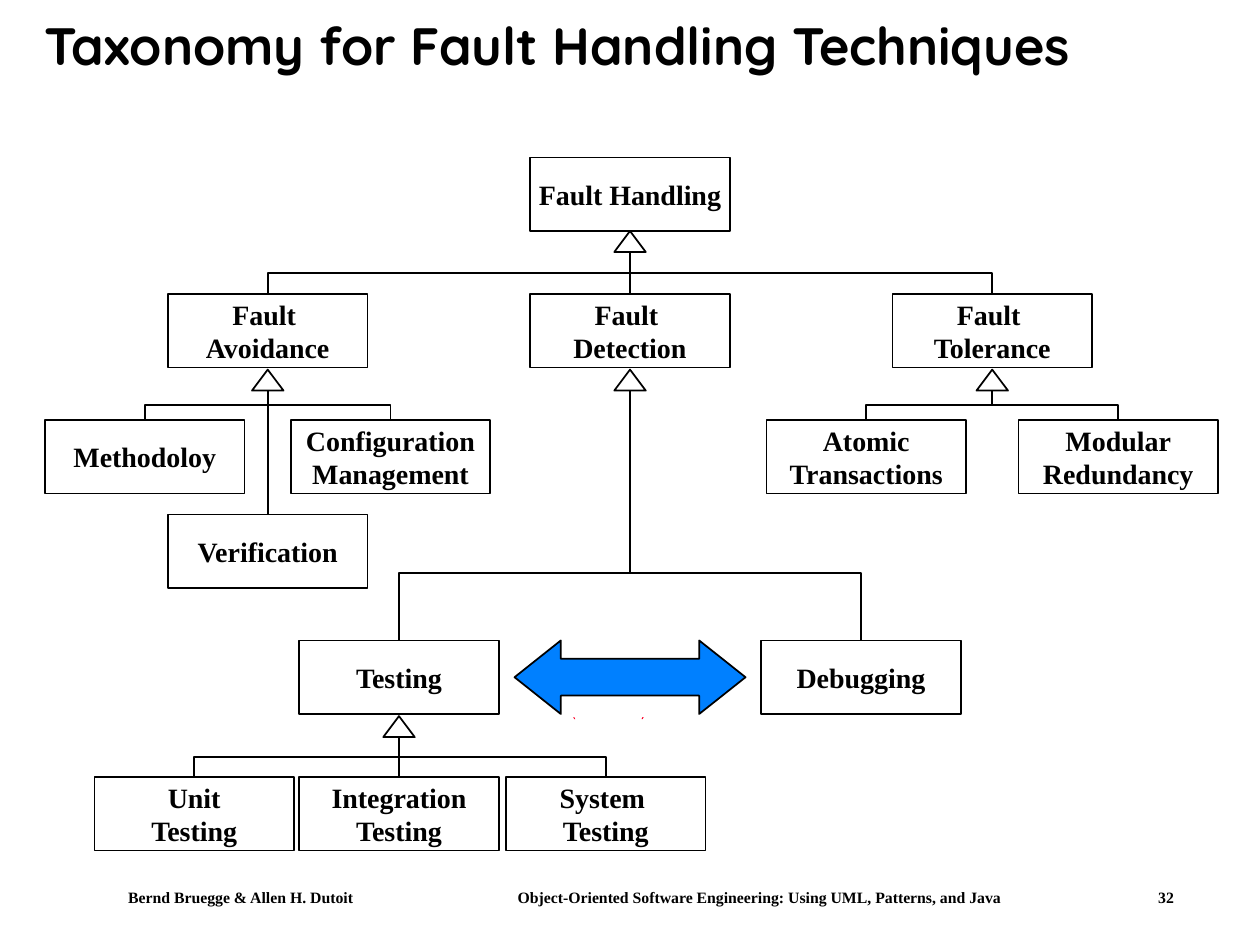
from lxml import etree
from pptx import Presentation
from pptx.dml.color import RGBColor
from pptx.enum.shapes import MSO_CONNECTOR, MSO_SHAPE
from pptx.enum.text import MSO_ANCHOR, PP_ALIGN
from pptx.oxml.ns import qn
from pptx.util import Inches, Pt

RECTANGLE, TRIANGLE, DOUBLE_ARROW = (
    MSO_SHAPE.RECTANGLE, MSO_SHAPE.ISOSCELES_TRIANGLE, MSO_SHAPE.LEFT_RIGHT_ARROW)
STRAIGHT, ELBOW = MSO_CONNECTOR.STRAIGHT, MSO_CONNECTOR.ELBOW
LEFT, CENTER, MIDDLE = PP_ALIGN.LEFT, PP_ALIGN.CENTER, MSO_ANCHOR.MIDDLE
TOP_SIDE = 0

COLORS = {"ink": "000000", "paper": "FFFFFF", "arrow": "0080FF", "mark": "FC0128"}
TITLE_FONT, BODY_FONT = "Quicksand", "Times New Roman"
BOX_WIDTH, BOX_HEIGHT = 19, 7
HEAD_WIDTH, HEAD_HEIGHT = 3, 2


def grid(units):
    """Convert grid units, 120 columns by 90 rows on the slide, to a length."""
    return Inches(units / 12)


def color(name):
    return RGBColor.from_string(COLORS[name])


def write(frame, *paragraphs, size=16, font=BODY_FONT, align=CENTER,
          spacing=None, tabs=()):
    for index, text in enumerate(paragraphs):
        para = frame.paragraphs[0] if index == 0 else frame.add_paragraph()
        para.text = text
        para.alignment = align
        if spacing:
            para.line_spacing = spacing
        if tabs:
            stops = etree.SubElement(para._p.get_or_add_pPr(), qn("a:tabLst"))
            for stop in tabs:
                etree.SubElement(stops, qn("a:tab"), pos=str(grid(stop)), algn="l")
        para.font.size = Pt(size)
        para.font.name = font
        para.font.bold = True
        para.font.color.rgb = color("ink")


class TaxonomySlide:
    """Holds the slide and draws the elements of a class hierarchy on it."""

    def __init__(self, deck):
        self.page = deck.slides.add_slide(deck.slide_layouts[5])
        self.shapes = self.page.shapes

    def title(self, text, left, top, width, height):
        box = self.shapes.title
        box.left, box.top, box.width, box.height = map(grid, (left, top, width, height))
        box.text_frame.word_wrap = True
        box.text_frame.vertical_anchor = MIDDLE
        write(box.text_frame, text, size=30, font=TITLE_FONT, align=LEFT, spacing=0.9)

    def footer(self, text, left, top, width, height, indent, tabs):
        box = self.shapes.add_textbox(*map(grid, (left, top, width, height)))
        box.text_frame.word_wrap = True
        box.text_frame.margin_left = grid(indent)
        write(box.text_frame, text, size=9, align=LEFT, tabs=tabs)

    def shape(self, kind, left, top, width, height, fill="paper"):
        shape = self.shapes.add_shape(kind, *map(grid, (left, top, width, height)))
        self.paint(shape, fill)
        shape.line.color.rgb = color("ink")
        shape.line.width = Pt(1)
        return shape

    def paint(self, shape, fill):
        shape.shadow.inherit = False
        shape.fill.solid()
        shape.fill.fore_color.rgb = color(fill)

    def mark(self, points):
        points = [(grid(x), grid(y)) for x, y in points]
        builder = self.shapes.build_freeform(*points[0], scale=1.0)
        builder.add_line_segments(points[1:], close=True)
        shape = builder.convert_to_shape()
        self.paint(shape, "mark")
        shape.line.fill.background()

    def box(self, center, top, *paragraphs):
        box = self.shape(RECTANGLE, center - BOX_WIDTH / 2, top, BOX_WIDTH, BOX_HEIGHT)
        box.text_frame.word_wrap = False
        box.text_frame.vertical_anchor = MIDDLE
        write(box.text_frame, *paragraphs)
        return box

    def connector(self, kind, *ends):
        line = self.shapes.add_connector(kind, *map(grid, ends))
        line.line.color.rgb = color("ink")
        line.line.width = Pt(1)
        etree.SubElement(line.element.spPr, qn("a:effectLst"))
        return line

    def elbow(self, child, top, parent, base, bend):
        """Rise from a child, run across and rise again to the parent."""
        side = 1 if child < parent else -1
        rise, run = top - base, abs(parent - child)
        x, y = (child + parent) / 2, (top + base) / 2
        line = self.connector(ELBOW, x + side * rise / 2, y + run / 2,
                              x - side * rise / 2, y - run / 2)
        properties = line.element.spPr
        properties.find(qn("a:xfrm")).set("rot", str((90 if side > 0 else 270) * 60000))
        values = properties.find(qn("a:prstGeom")).find(qn("a:avLst"))
        etree.SubElement(values, qn("a:gd"), name="adj1", fmla=f"val {round(bend * 100000)}")

    def generalize(self, parent, bottom, children, bend=0.5, gap=0.2):
        """Draw the children (center, top, paragraphs) and join them to a parent."""
        head_top = bottom + gap
        base = head_top + HEAD_HEIGHT
        for center, top, *paragraphs in children:
            box = self.box(center, top, *paragraphs)
            if center == parent:
                line = self.connector(STRAIGHT, center, top, parent, base)
                line.begin_connect(box, TOP_SIDE)
            else:
                self.elbow(center, top, parent, base, bend)
        self.shape(TRIANGLE, parent - HEAD_WIDTH / 2, head_top, HEAD_WIDTH, HEAD_HEIGHT)


def main():
    deck = Presentation()
    deck.slide_width, deck.slide_height = grid(120), grid(90)
    slide = TaxonomySlide(deck)
    slide.footer("Bernd Bruegge & Allen H. Dutoit\tObject-Oriented Software Engineering: "
                 "Using UML, Patterns, and Java\t32",
                 7, 84, 110, 3, indent=5.2, tabs=(37.1, 98.1))
    slide.title("Taxonomy for Fault Handling Techniques", 3, 0, 107, 9.25)
    slide.mark([(61.3, 68.3), (61.2, 68.3), (61.1, 68.5), (61.2, 68.5)])
    slide.mark([(54.7, 68.5), (54.8, 68.5), (54.7, 68.3), (54.6, 68.3)])

    avoidance, detection, tolerance = (60 + step * 34.5 for step in (-1, 0, 1))
    testing, debugging = detection - 22, detection + 22
    slide.box(detection, 15, "Fault Handling")
    slide.generalize(detection, 22, [
        (avoidance, 28, "Fault \vAvoidance"),
        (detection, 28, "Fault \vDetection"),
        (tolerance, 28, "Fault \vTolerance")], gap=0)
    slide.generalize(avoidance, 35, [
        (avoidance - 11.7, 40, "Methodoloy"),
        (avoidance, 49, "Verification"),
        (avoidance + 11.7, 40, "Configuration\vManagement")])
    slide.generalize(tolerance, 35, [
        (tolerance - 12, 40, "Atomic\vTransactions"),
        (tolerance + 12, 40, "Modular\vRedundancy")])
    slide.generalize(detection, 35, [
        (testing, 61, "Testing"),
        (debugging, 61, "Debugging")], bend=0.27)
    slide.generalize(testing, 68, [
        (testing - 19.5, 74, "Unit", "Testing"),
        (testing, 74, "Integration\vTesting"),
        (testing + 19.7, 74, "System \vTesting")])

    arrow = slide.shape(DOUBLE_ARROW, 49, 61, 22, BOX_HEIGHT, fill="arrow")
    arrow.adjustments[0], arrow.adjustments[1] = 0.5, 0.63
    deck.save("out.pptx")


if __name__ == "__main__":
    main()
